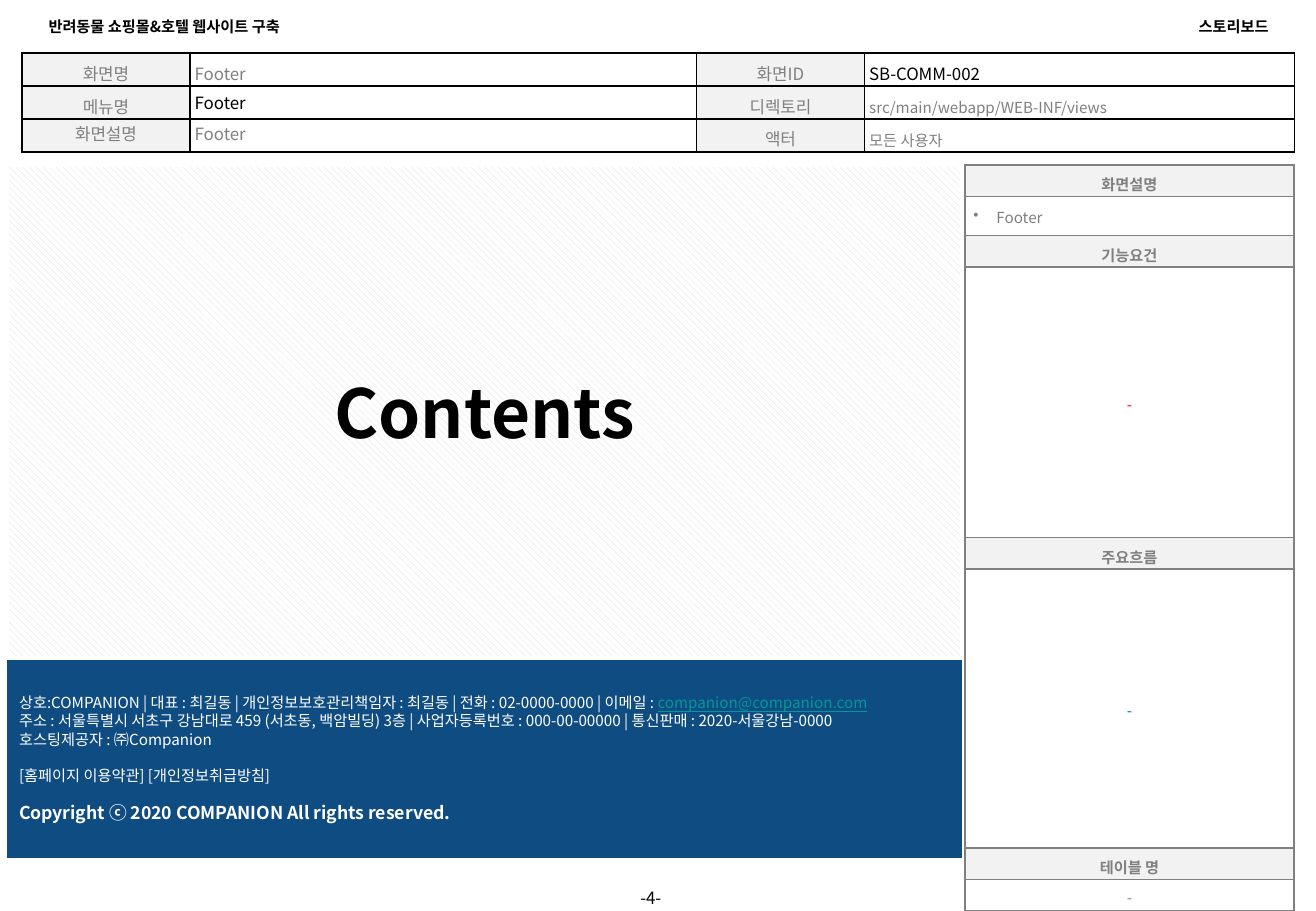
from dataclasses import dataclass, field
from typing import Any, Optional

from lxml import etree
from pptx import Presentation
from pptx.dml.color import RGBColor
from pptx.enum import dml, shapes, text
from pptx.oxml import ns
from pptx.util import Cm, Pt

LEFT, CENTER, RIGHT = text.PP_ALIGN.LEFT, text.PP_ALIGN.CENTER, text.PP_ALIGN.RIGHT


@dataclass(frozen=True)
class Theme:
    font: str = "Noto Sans CJK KR"
    black: str = "000000"
    white: str = "FFFFFF"
    gray: str = "808080"
    label_fill: str = "F2F2F2"
    hatch: str = "D9D9D9"
    navy: str = "0F4C81"
    teal: str = "009999"
    red: str = "FF0000"
    blue: str = "0070C0"
    small: float = 9
    body: float = 10
    copyright: float = 10.5
    display: float = 40


THEME = Theme()


@dataclass(frozen=True)
class Run:
    words: str
    color: str = THEME.black
    size: float = THEME.small
    bold: bool = False
    underline: bool = False


@dataclass(frozen=True)
class Line:
    runs: list[Run]
    format: dict[str, Any] = field(default_factory=dict)
    bullet: bool = False


@dataclass(frozen=True)
class Entry:
    """One table cell; drop moves its text below the middle, in cm."""
    line: Line
    fill: str = THEME.white
    drop: float = 0.11


@dataclass(frozen=True)
class Grid:
    left: float
    top: float
    columns: list[float]
    rows: list[float]
    entries: list[list[Entry]]
    border: str
    side_margin: float


def rgb(value: str) -> RGBColor:
    return RGBColor.from_string(value)


def apply(target: Any, values: dict[str, Any]) -> None:
    for name, value in values.items():
        setattr(target, name, value)


# Text
def write(frame: Any, lines: list[Line]) -> None:
    for number, line in enumerate(lines):
        paragraph = frame.paragraphs[0] if number == 0 else frame.add_paragraph()
        apply(paragraph, {"alignment": LEFT, **line.format})
        if line.bullet:
            properties = paragraph._p.get_or_add_pPr()
            properties.set("marL", str(Cm(0.48)))
            properties.set("indent", str(-Cm(0.48)))
            etree.SubElement(properties, ns.qn("a:buChar"), char="•")
        for piece in line.runs:
            run = paragraph.add_run()
            run.text = piece.words
            apply(run.font, {"name": THEME.font, "size": Pt(piece.size),
                             "bold": piece.bold, "underline": piece.underline})
            run.font.color.rgb = rgb(piece.color)
            etree.SubElement(run._r.get_or_add_rPr(), ns.qn("a:ea"), typeface=THEME.font)


def fill_frame(shape: Any, lines: list[Line]) -> None:
    apply(shape.text_frame, {"word_wrap": True, "auto_size": text.MSO_AUTO_SIZE.NONE,
                             "vertical_anchor": text.MSO_ANCHOR.MIDDLE})
    write(shape.text_frame, lines)


def add_label(slide: Any, box: tuple[float, ...], line: Line) -> None:
    fill_frame(slide.shapes.add_textbox(*map(Cm, box)), [line])


def add_panel(slide: Any, box: tuple[float, ...], lines: list[Line]) -> Any:
    panel = slide.shapes.add_shape(shapes.MSO_SHAPE.RECTANGLE, *map(Cm, box))
    panel.shadow.inherit = False
    fill_frame(panel, lines)
    return panel


# Tables
def set_borders(cell: Any, color: str) -> None:
    properties = cell._tc.get_or_add_tcPr()
    for position, side in enumerate(("lnL", "lnR", "lnT", "lnB")):
        edge = etree.Element(ns.qn(f"a:{side}"), w=str(Pt(1)))
        solid = etree.SubElement(edge, ns.qn("a:solidFill"))
        etree.SubElement(solid, ns.qn("a:srgbClr"), val=color)
        properties.insert(position, edge)


def add_grid(slide: Any, grid: Grid) -> None:
    size = sum(grid.columns), sum(grid.rows)
    table = slide.shapes.add_table(len(grid.rows), len(grid.columns),
                                   *map(Cm, (grid.left, grid.top, *size))).table
    apply(table, {"first_row": False, "horz_banding": False})
    for column, width in zip(table.columns, grid.columns):
        column.width = Cm(width)
    for row, height, entries in zip(table.rows, grid.rows, grid.entries):
        row.height = Cm(height)
        for cell, entry in zip(row.cells, entries):
            apply(cell, {"margin_left": Cm(grid.side_margin), "margin_right": Cm(grid.side_margin),
                         "margin_top": Cm(0.11 + entry.drop),
                         "margin_bottom": Cm(0.11 - entry.drop),
                         "vertical_anchor": text.MSO_ANCHOR.MIDDLE})
            cell.fill.solid()
            cell.fill.fore_color.rgb = rgb(entry.fill)
            set_borders(cell, grid.border)
            write(cell.text_frame, [entry.line])


def info(words: str, label: bool = False, color: str = THEME.gray,
         size: float = THEME.body, drop: float = 0.11) -> Entry:
    style = {"alignment": CENTER if label else LEFT, "line_spacing": Pt(12)}
    return Entry(Line([Run(words, color, size)], style),
                 THEME.label_fill if label else THEME.white, drop)


def heading(words: str) -> list[Entry]:
    line = Line([Run(words, THEME.gray, bold=True)],
                {"alignment": CENTER, "line_spacing": Pt(10.8)})
    return [Entry(line, THEME.label_fill)]


def detail(words: str, color: str = THEME.gray, bullet: bool = False) -> list[Entry]:
    style = {"alignment": LEFT if bullet else CENTER, "line_spacing": Pt(10.8)}
    return [Entry(Line([Run(words, color)], style, bullet), drop=0.07)]


INFO = Grid(0.46, 1.11, [3.51, 10.59, 3.51, 8.99], [0.69] * 3, [
    [info("화면명", True), info("Footer"),
     info("화면ID", True), info("SB-COMM-002", color=THEME.black)],
    [info("메뉴명", True), info("Footer", color=THEME.black, drop=0.04),
     info("디렉토리", True), info("src/main/webapp/WEB-INF/views", size=THEME.small)],
    [info("화면설명", True, drop=0), info("Footer", drop=0),
     info("액터", True), info("모든 사용자", size=THEME.small)],
], THEME.black, 0.1)

SCREEN_NOTES = Grid(20.17, 3.45, [6.88], [0.66, 0.81, 0.66, 5.66, 0.66, 5.82], [
    heading("화면설명"), detail("Footer", bullet=True),
    heading("기능요건"), detail("-", THEME.red),
    heading("주요흐름"), detail("-", THEME.blue),
], THEME.gray, 0.18)

TABLE_NAMES = Grid(20.17, 17.73, [6.88], [0.66, 0.66],
                   [heading("테이블 명"), detail("-")], THEME.gray, 0.18)

TIGHT = {"line_spacing": Pt(10.8)}
COMPANY = [
    Line([Run("상호:COMPANION | 대표 : 최길동 | 개인정보보호관리책임자 : 최길동 | "
              "전화 : 02-0000-0000 | 이메일 : ", THEME.white),
          Run("companion@companion.com", THEME.teal, underline=True)], TIGHT),
    Line([Run("주소 : 서울특별시 서초구 강남대로 459 (서초동, 백암빌딩) 3층 | "
              "사업자등록번호 : 000-00-00000 | 통신판매 : 2020-서울강남-0000", THEME.white)], TIGHT),
    Line([Run("호스팅제공자 : ㈜Companion", THEME.white)], TIGHT),
    Line([Run("[홈페이지 이용약관] [개인정보취급방침]", THEME.white)],
         {**TIGHT, "space_before": Pt(10.8)}),
    Line([Run("Copyright ⓒ 2020 COMPANION All rights reserved.", THEME.white,
              THEME.copyright, bold=True)],
         {"line_spacing": Pt(12.6), "space_before": Pt(10)}),
]


def main() -> None:
    deck = Presentation()
    apply(deck, {"slide_width": Cm(27.51), "slide_height": Cm(19.05)})
    slide = deck.slides.add_slide(deck.slide_layouts[5])

    # Header and page number
    project = slide.shapes.title
    apply(project, {"left": Cm(0.76), "top": Cm(0.23), "width": Cm(7.59), "height": Cm(0.63)})
    fill_frame(project, [Line([Run("반려동물 쇼핑몰&호텔 웹사이트 구축", bold=True)])])
    add_label(slide, (19.18, 0.23, 7.59, 0.63),
              Line([Run("스토리보드", bold=True)], {"alignment": RIGHT}))
    add_label(slide, (12.6, 18.57, 2.01, 0.41),
              Line([Run("-4-", size=THEME.body)], {"alignment": CENTER}))

    # Screen information and notes
    for grid in (INFO, SCREEN_NOTES, TABLE_NAMES):
        add_grid(slide, grid)

    # Page footer
    company = add_panel(slide, (0.15, 13.77, 19.96, 4.17), COMPANY)
    company.fill.solid()
    company.fill.fore_color.rgb = rgb(THEME.navy)
    company.line.fill.background()

    # Contents area
    contents = add_panel(slide, (0.15, 3.45, 19.96, 10.31), [
        Line([Run("Contents", size=THEME.display, bold=True)], {"alignment": CENTER})])
    contents.fill.patterned()
    contents.fill.pattern = dml.MSO_PATTERN.WIDE_DOWNWARD_DIAGONAL
    contents.fill.fore_color.rgb = rgb(THEME.hatch)
    contents.fill.back_color.rgb = rgb(THEME.white)
    contents.line.color.rgb = rgb(THEME.white)
    contents.line.width = Pt(2)

    deck.save("out.pptx")


if __name__ == "__main__":
    main()
